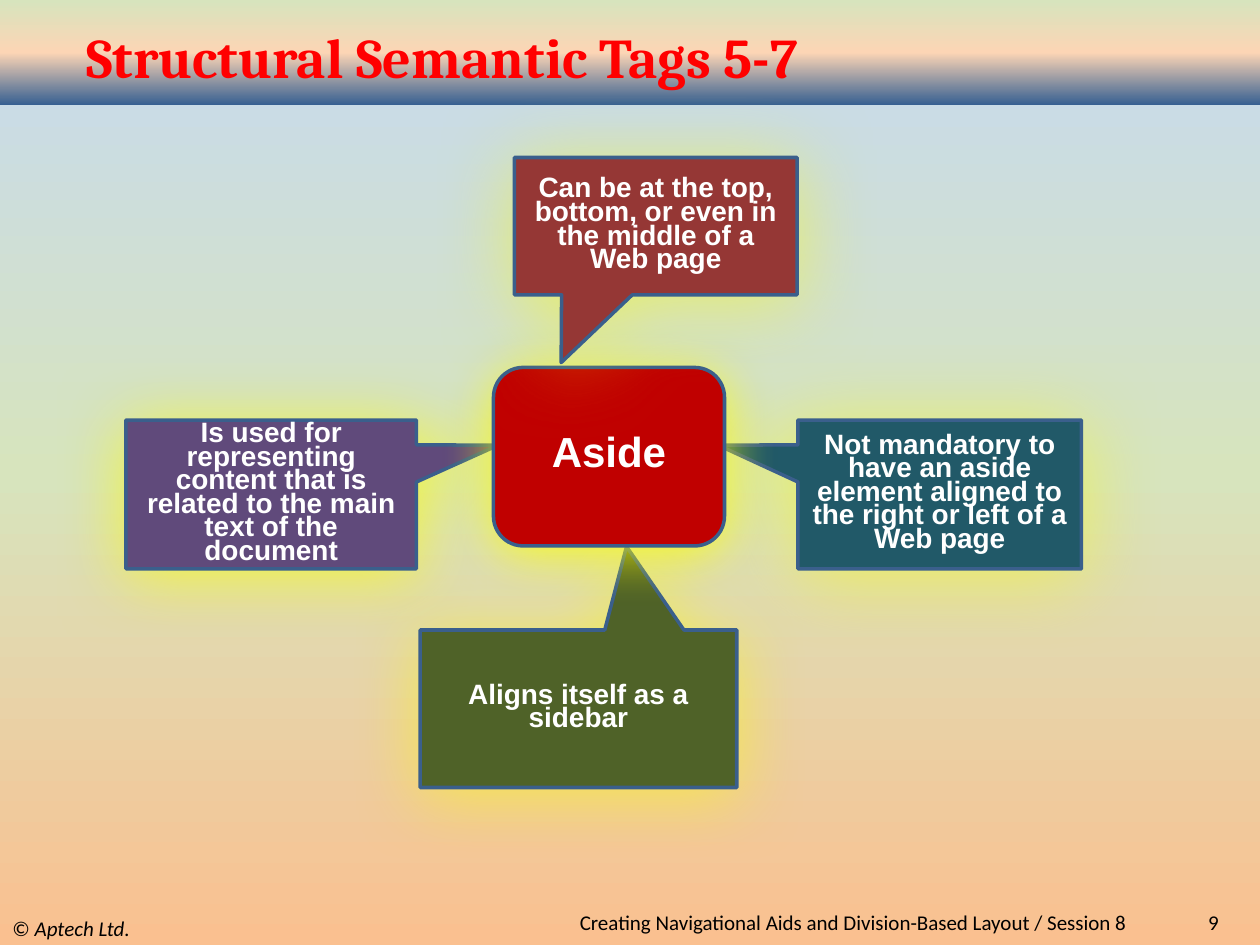
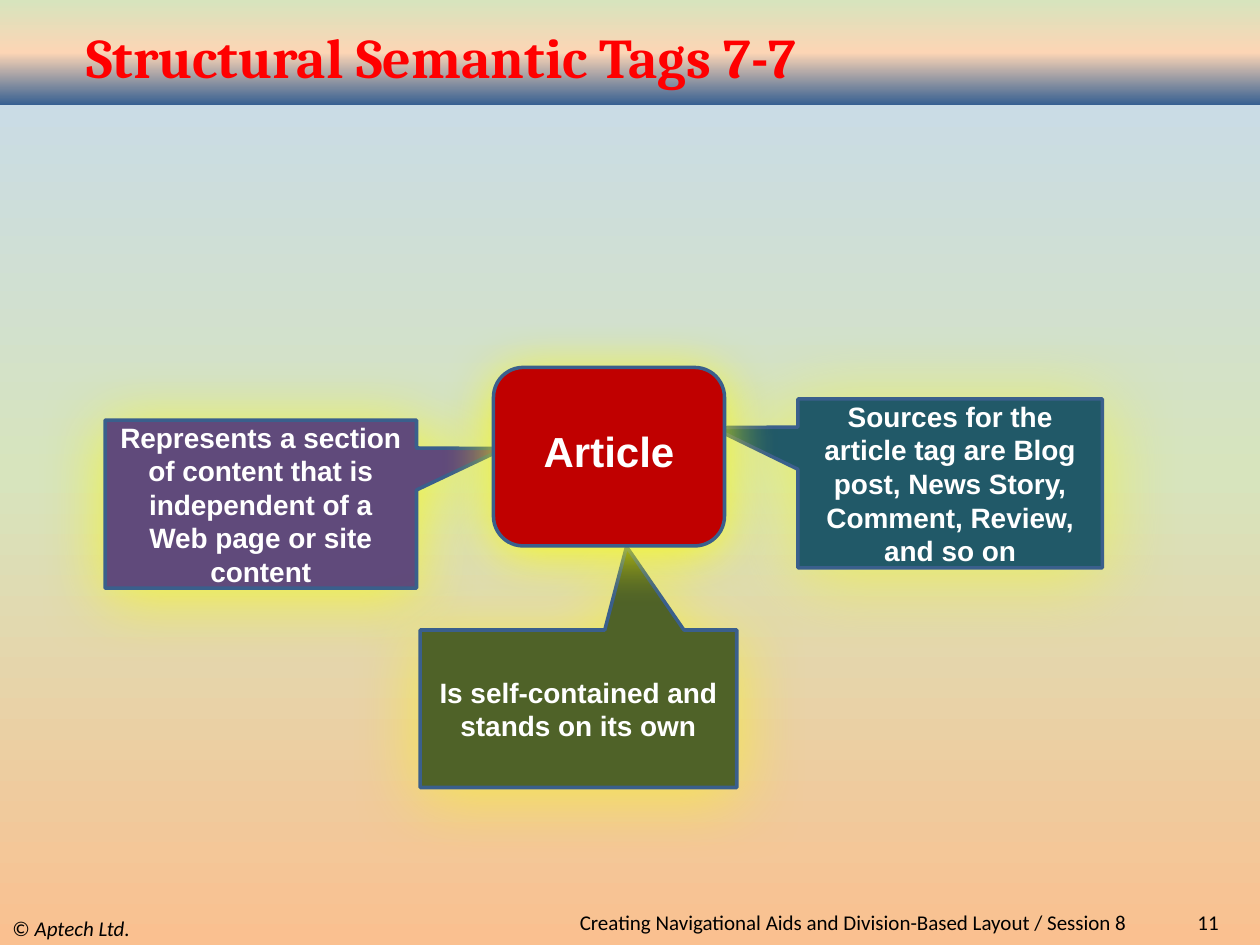
import pptx
import pptx.util
import pptx.dml.color
import pptx.enum.shapes
import pptx.enum.text
import pptx.oxml
import pptx.oxml.ns
from lxml import etree

Pt = pptx.util.Pt
RGB = pptx.dml.color.RGBColor.from_string
SHAPE = pptx.enum.shapes.MSO_SHAPE
ALIGN = pptx.enum.text.PP_ALIGN
qn = pptx.oxml.ns.qn

COLORS = {
    "title": "FF0000", "text": "000000", "label": "FFFFFF",
    "line": "3A5F8C", "glow": "FFFF00",
    "center": "C00000", "purple": "604A7B", "teal": "215968",
    "olive": "4F6228", "maroon": "953735",
}
# Gradients run from the bottom edge to the top edge
PAGE_GRADIENT = ("FAC090", "D7E4BD", "C6D9F1")
BAND_GRADIENT = ("376092", "FCD5B5", "D7E4BD")

FONTS = {
    "title": {"name": "Cambria", "size": Pt(32), "bold": True},
    "footer": {"name": "Calibri", "size": Pt(12)},
    "center": {"name": "Arial", "size": Pt(24), "bold": True},
    "callout": {"name": "Arial", "size": Pt(16), "bold": True},
}
TIGHT = 0.7

# Callout style: flipped, tip position, glow opacity (%) and glow blur (pt)
CALLOUTS = {
    "purple": (False, (0.781, -0.33), 67, 39),
    "teal": (True, (0.781, -0.33), 50, 46),
    "olive": (False, (0.152, -1.03), 53, 40),
    "maroon": (True, (0.335, 0.993), 50, 46),
}


def set_gradient(fill, element, colors):
    fill.gradient()
    fill.gradient_angle = 90
    stops = element.find(".//" + qn("a:gradFill")).find(qn("a:gsLst"))
    for gs in list(stops):
        stops.remove(gs)
    for i, color in enumerate(colors):
        pos = 100000 * i // (len(colors) - 1)
        gs = etree.SubElement(stops, qn("a:gs"), pos=str(pos))
        etree.SubElement(gs, qn("a:srgbClr"), val=color)


class Deck:
    def __init__(self):
        self.prs = pptx.Presentation()
        self.prs.slide_width, self.prs.slide_height = Pt(720), Pt(540)
        master = self.prs.slide_master
        set_gradient(master.background.fill, master.element, PAGE_GRADIENT)
        self.s = None

    def slide(self, title, number):
        self.s = self.prs.slides.add_slide(self.prs.slide_layouts[5])
        self.band()
        self.title(title)
        # Footer
        self.footer((0, 520.5, 240, 19.5), ("© ", "Aptech Ltd."), ALIGN.LEFT)
        self.footer((642, 520.5, 61.5, 13), (number,), ALIGN.RIGHT)
        self.footer((180, 520.5, 471, 13),
                    ("Creating Navigational Aids and Division-Based Layout / Session 8",),
                    ALIGN.RIGHT)

    def fill_text(self, tf, runs, style, color, align, spacing=1.0):
        values = {"word_wrap": True,
                  "auto_size": pptx.enum.text.MSO_AUTO_SIZE.NONE,
                  "vertical_anchor": pptx.enum.text.MSO_ANCHOR.MIDDLE}
        for key, value in values.items():
            setattr(tf, key, value)
        p = tf.paragraphs[0]
        p.alignment, p.line_spacing = align, spacing
        for text in runs:
            r = p.add_run()
            r.text = text
            for key, value in FONTS[style].items():
                setattr(r.font, key, value)
            r.font.color.rgb = RGB(COLORS[color])
        return p

    def band(self):
        sp = self.s.shapes.add_shape(SHAPE.RECTANGLE, 0, 0, Pt(720), Pt(60))
        sp.shadow.inherit = False
        set_gradient(sp.fill, sp.element, BAND_GRADIENT)
        sp.line.fill.background()
        # Keep the band behind the title
        tree = self.s.shapes.element
        tree.remove(sp.element)
        tree.insert(2, sp.element)

    def title(self, text):
        sp = self.s.shapes.title
        sp.left, sp.top, sp.width, sp.height = map(Pt, (42, 16, 600, 32.4))
        self.fill_text(sp.text_frame, (text,), "title", "title", ALIGN.LEFT)

    def footer(self, box, runs, align):
        sp = self.s.shapes.add_textbox(*map(Pt, box))
        p = self.fill_text(sp.text_frame, runs, "footer", "text", align)
        for r in p.runs[1:]:
            r.font.italic = True

    def box(self, kind, box, text, color, style, spacing, alpha, blur):
        sp = self.s.shapes.add_shape(kind, *map(Pt, box))
        sp.fill.solid()
        sp.fill.fore_color.rgb = RGB(COLORS[color])
        sp.line.color.rgb = RGB(COLORS["line"])
        sp.line.width = Pt(2)
        self.glow(sp, alpha, blur)
        self.fill_text(sp.text_frame, (text,), style, "label", ALIGN.CENTER, spacing)
        return sp

    def glow(self, sp, alpha, blur):
        sp.shadow.inherit = False
        effects = sp.element.spPr.find(qn("a:effectLst"))
        shadow = etree.SubElement(effects, qn("a:outerShdw"), blurRad=str(Pt(blur)),
                                  dist=str(Pt(4)), dir="5400000", rotWithShape="0")
        clr = etree.SubElement(shadow, qn("a:srgbClr"), val=COLORS["glow"])
        etree.SubElement(clr, qn("a:alpha"), val=str(alpha * 1000))

    def center(self, text):
        self.box(SHAPE.ROUNDED_RECTANGLE, (282, 210, 132, 102), text,
                 "center", "center", TIGHT, 82, 31)

    def callout(self, color, box, text, spacing=1.0):
        flipped, tip, alpha, blur = CALLOUTS[color]
        sp = self.box(SHAPE.RECTANGULAR_CALLOUT, box, text, color, "callout",
                      spacing, alpha, blur)
        sp.adjustments[0], sp.adjustments[1] = tip
        if flipped:
            sp.element.spPr.find(qn("a:xfrm")).set("flipH", "1")


def main():
    deck = Deck()
    olive_box = (240, 360, 181, 90)

    # Aside
    deck.slide("Structural Semantic Tags 5-7", "9")
    deck.callout("purple", (72, 240, 166, 85),
                 "Is used for representing content that is related to the main text "
                 "of the document", TIGHT)
    deck.callout("teal", (456, 240, 162, 85),
                 "Not mandatory to have an aside element aligned to the right or left "
                 "of a Web page", TIGHT)
    deck.callout("olive", olive_box, "Aligns itself as a sidebar", TIGHT)
    deck.center("Aside")
    deck.callout("maroon", (294, 90, 161.5, 78.5),
                 "Can be at the top, bottom, or even in the middle of a Web page", TIGHT)

    # Article
    deck.slide("Structural Semantic Tags 7-7", "11")
    deck.callout("purple", (60, 240, 178, 96),
                 "Represents a section of content that is independent of a Web page "
                 "or site content")
    deck.callout("teal", (456, 228, 174, 96.5),
                 "Sources for the article tag are Blog post, News Story, Comment, "
                 "Review, and so on")
    deck.callout("olive", olive_box, "Is self-contained and stands on its own")
    deck.center("Article")

    deck.prs.save("out.pptx")


if __name__ == "__main__":
    main()
